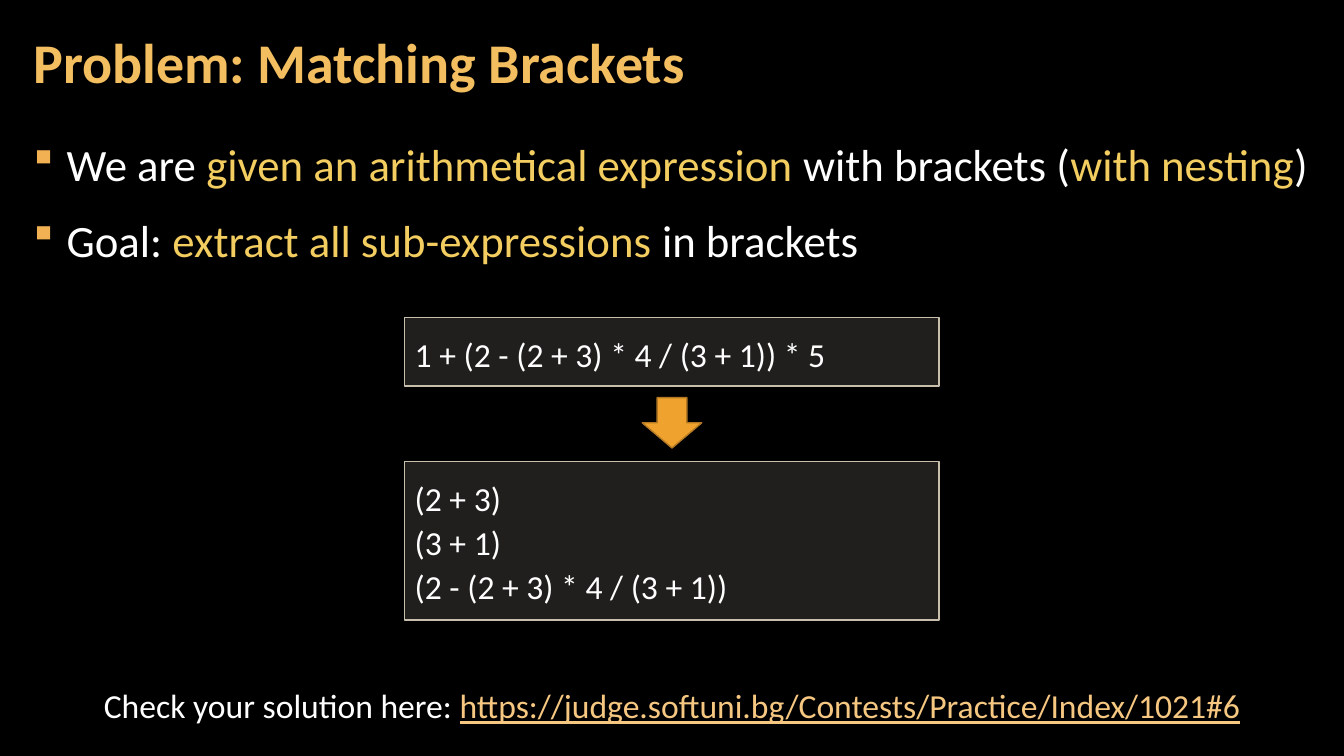
from lxml import etree
from pptx import Presentation
from pptx.dml.color import RGBColor
from pptx.enum.shapes import MSO_SHAPE
from pptx.enum.text import MSO_ANCHOR, MSO_AUTO_SIZE, PP_ALIGN
from pptx.oxml.ns import qn
from pptx.util import Inches, Pt

RECTANGLE, RIGHT_ARROW = MSO_SHAPE.RECTANGLE, MSO_SHAPE.RIGHT_ARROW
MIDDLE, TOP = MSO_ANCHOR.MIDDLE, MSO_ANCHOR.TOP
LEFT, CENTER = PP_ALIGN.LEFT, PP_ALIGN.CENTER
NO_AUTOFIT = MSO_AUTO_SIZE.NONE

BLACK = RGBColor(0x00, 0x00, 0x00)
WHITE = RGBColor(0xFF, 0xFF, 0xFF)
TITLE_GOLD = RGBColor(0xF3, 0xBE, 0x60)
KEYWORD_GOLD = RGBColor(0xF3, 0xCD, 0x60)
BULLET_GOLD = RGBColor(0xF2, 0xB2, 0x54)
LINK_GOLD = RGBColor(0xF6, 0xC7, 0x81)
PANEL_FILL = RGBColor(0xD9, 0xD5, 0xC7)
PANEL_LINE = RGBColor(0xC7, 0xBF, 0xAC)
ARROW_FILL = RGBColor(0xF0, 0xA2, 0x2E)
ARROW_LINE = RGBColor(0xB2, 0x78, 0x22)

# Content: each paragraph is a list of (text, colour) runs
TITLE = [[("Problem: Matching Brackets", TITLE_GOLD)]]
BULLETS = [
    [("We are ", WHITE), ("given an arithmetical expression", KEYWORD_GOLD),
     (" with brackets (", WHITE), ("with nesting", KEYWORD_GOLD), (")", WHITE)],
    [("Goal: ", WHITE), ("extract all sub-expressions", KEYWORD_GOLD),
     (" in brackets", WHITE)],
]
EXPRESSION = ["1 + (2 - (2 + 3) * 4 / (3 + 1)) * 5"]
SUB_EXPRESSIONS = ["(2 + 3)", "(3 + 1)", "(2 - (2 + 3) * 4 / (3 + 1))"]
CHECK = [[("Check your solution here: ", WHITE),
          ("https://judge.softuni.bg/Contests/Practice/Index/1021#6", LINK_GOLD)]]

# Layout in inches
SLIDE_WIDTH, SLIDE_HEIGHT = 13.33, 7.5
MARGIN = 0.21
TITLE_TOP, TITLE_WIDTH, TITLE_HEIGHT = 0.04, 10.47, 1.21
BODY_TOP, BODY_HEIGHT = 1.26, 6.09
PANEL_WIDTH = 5.3
PANELS = [(3.15, 0.68, EXPRESSION), (4.58, 1.57, SUB_EXPRESSIONS)]
ARROW_TOP, ARROW_LENGTH, ARROW_BREADTH = 3.9, 0.5, 0.59
CHECK_TOP, CHECK_WIDTH, CHECK_HEIGHT = 6.75, 11.58, 0.5
BULLET_INDENT = 0.33


def centered(width):
    return (SLIDE_WIDTH - width) / 2


def place(shape, left, top, width, height):
    shape.left, shape.top = Inches(left), Inches(top)
    shape.width, shape.height = Inches(width), Inches(height)


def write(shape, paragraphs, size, spacing=1.0, insets=(0.1, 0.05),
          anchor=TOP, alignment=LEFT, bold=False):
    frame = shape.text_frame
    frame.word_wrap = True
    frame.auto_size = NO_AUTOFIT
    frame.vertical_anchor = anchor
    frame.margin_left = frame.margin_right = Inches(insets[0])
    frame.margin_top = frame.margin_bottom = Inches(insets[1])
    for index, runs in enumerate(paragraphs):
        paragraph = frame.add_paragraph() if index else frame.paragraphs[0]
        paragraph.alignment = alignment
        paragraph.line_spacing = spacing
        paragraph.space_before = paragraph.space_after = Pt(0)
        for text, color in runs:
            run = paragraph.add_run()
            run.text = text
            run.font.name = "Calibri"
            run.font.size = Pt(size)
            run.font.bold = bold
            run.font.color.rgb = color
            if color == LINK_GOLD:
                run.font.underline = True


def add_bullet(paragraph):
    properties = paragraph._p.get_or_add_pPr()
    properties.set("marL", str(Inches(BULLET_INDENT)))
    properties.set("indent", str(-Inches(BULLET_INDENT)))
    color = etree.SubElement(properties, qn("a:buClr"))
    etree.SubElement(color, qn("a:srgbClr"), val=str(BULLET_GOLD))
    etree.SubElement(properties, qn("a:buFont"), typeface="Wingdings")
    etree.SubElement(properties, qn("a:buChar"), char="§")


def add_shape(slide, kind, box, fill, line):
    shape = slide.shapes.add_shape(kind, *(Inches(length) for length in box))
    shape.shadow.inherit = False
    shape.fill.solid()
    shape.fill.fore_color.rgb = fill
    shape.line.color.rgb = line
    shape.line.width = Pt(1)
    return shape


def main():
    presentation = Presentation()
    presentation.slide_width = Inches(SLIDE_WIDTH)
    presentation.slide_height = Inches(SLIDE_HEIGHT)
    slide = presentation.slides.add_slide(presentation.slide_layouts[1])
    slide.background.fill.solid()
    slide.background.fill.fore_color.rgb = BLACK

    # Title
    title = slide.shapes.title
    place(title, MARGIN, TITLE_TOP, TITLE_WIDTH, TITLE_HEIGHT)
    write(title, TITLE, 40, 0.9, (0.12, 0.04), anchor=MIDDLE, bold=True)

    # Bullet list
    body = slide.placeholders[1]
    place(body, MARGIN, BODY_TOP, SLIDE_WIDTH - 2 * MARGIN, BODY_HEIGHT)
    write(body, BULLETS, 32, 1.1, (0.12, 0.04))
    for index, paragraph in enumerate(body.text_frame.paragraphs):
        paragraph.space_before = Pt(6 if index else 0)
        paragraph.space_after = Pt(6)
        add_bullet(paragraph)

    # Link line
    check = slide.shapes.add_textbox(
        Inches(centered(CHECK_WIDTH)), Inches(CHECK_TOP),
        Inches(CHECK_WIDTH), Inches(CHECK_HEIGHT))
    write(check, CHECK, 24, alignment=CENTER)

    # Input and output panels, 15 % opaque
    for top, height, lines in PANELS:
        box = (centered(PANEL_WIDTH), top, PANEL_WIDTH, height)
        panel = add_shape(slide, RECTANGLE, box, PANEL_FILL, PANEL_LINE)
        fill_color = panel._element.spPr.find(qn("a:solidFill"))[0]
        etree.SubElement(fill_color, qn("a:alpha"), val="15000")
        write(panel, [[(line, WHITE)] for line in lines], 24, 1.1, (0.1, 0.12))

    # Arrow from input to output
    box = (centered(ARROW_LENGTH), ARROW_TOP, ARROW_LENGTH, ARROW_BREADTH)
    arrow = add_shape(slide, RIGHT_ARROW, box, ARROW_FILL, ARROW_LINE)
    arrow.rotation = 90

    presentation.save("out.pptx")


if __name__ == "__main__":
    main()
